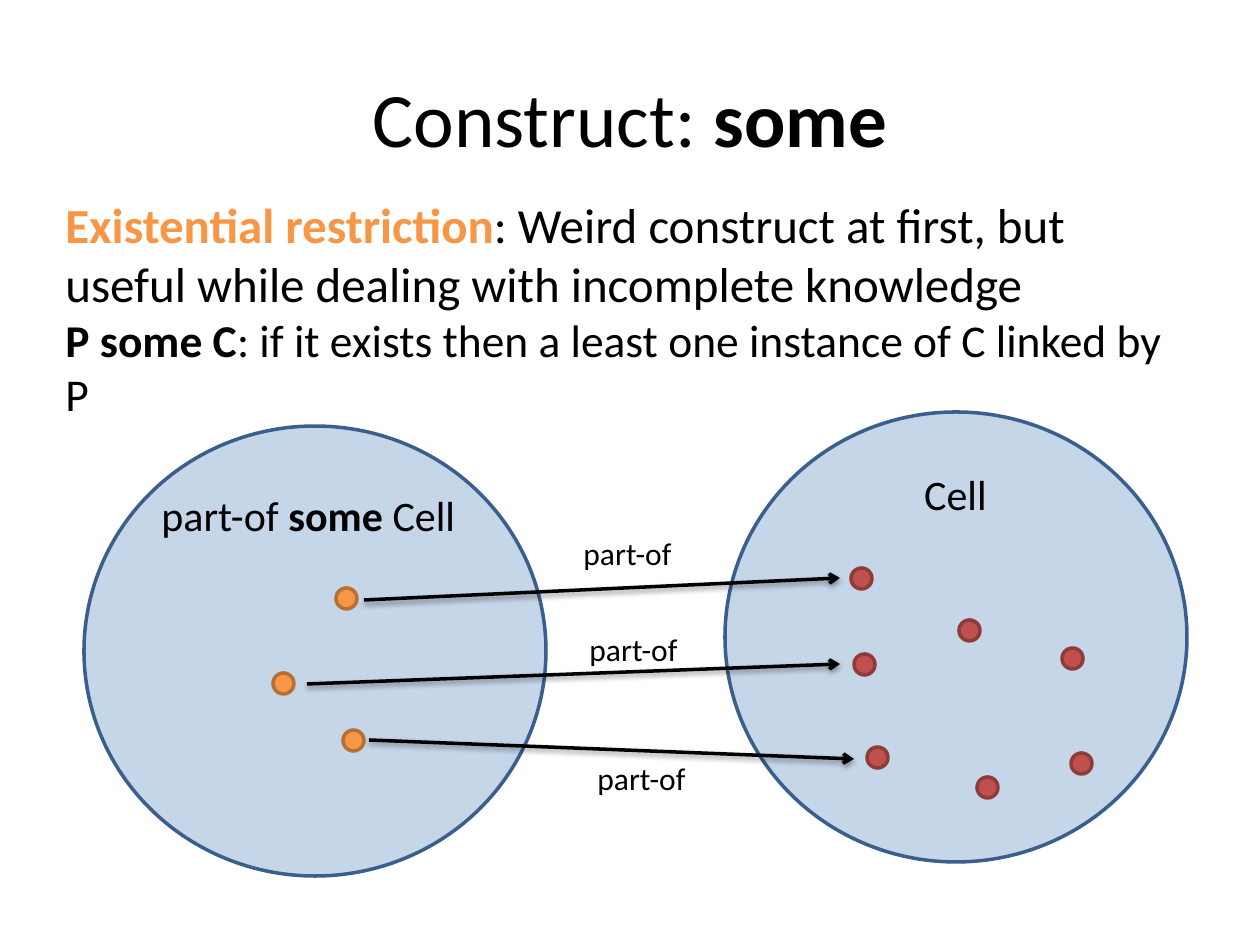
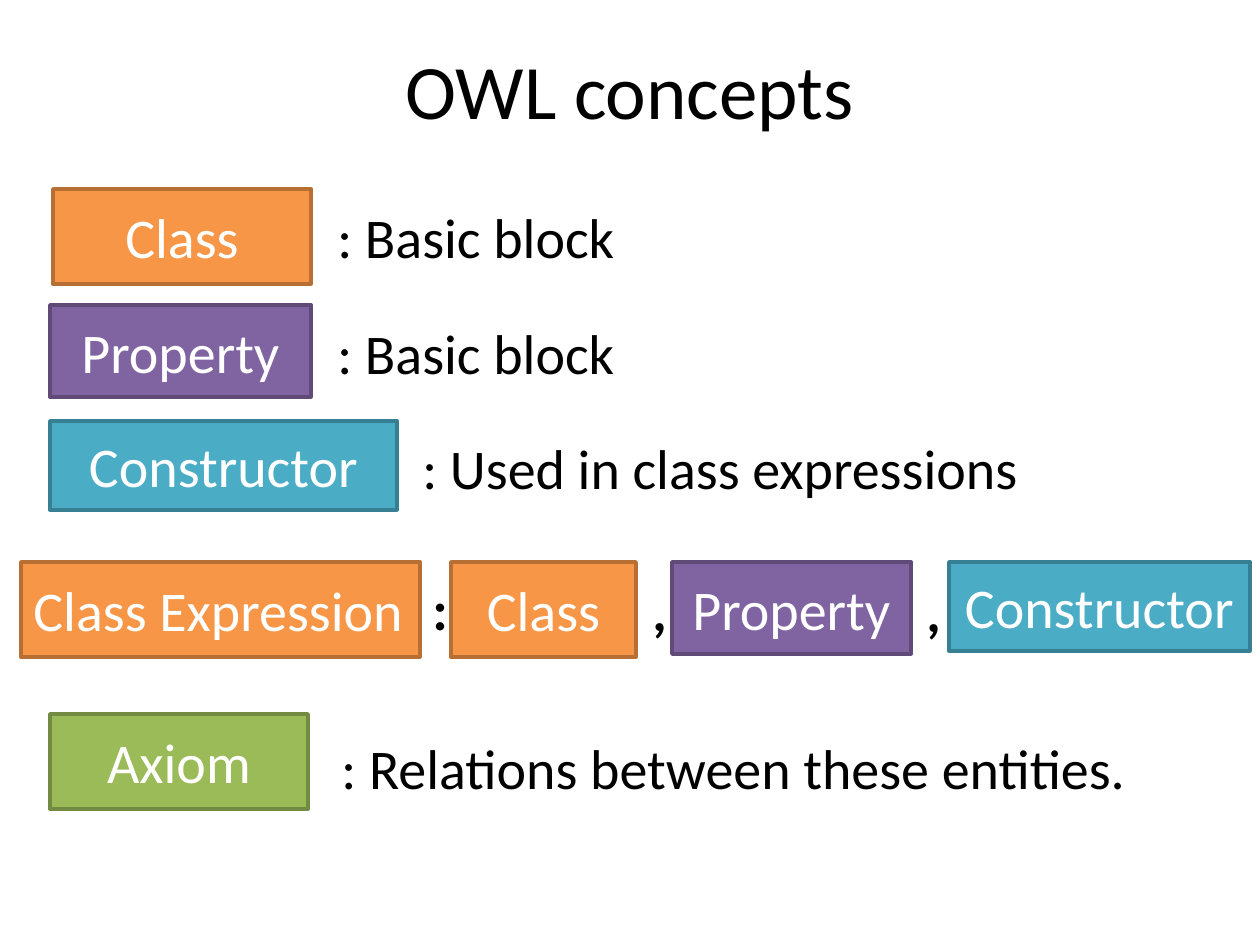
from lxml import etree
from pptx import Presentation
from pptx.dml.color import RGBColor as RGB
from pptx.enum.shapes import MSO_CONNECTOR as CONN, MSO_SHAPE as SHAPE
from pptx.enum.text import MSO_ANCHOR as ANCHOR, MSO_AUTO_SIZE as AUTO, PP_ALIGN as ALIGN
from pptx.oxml import parse_xml
from pptx.oxml.ns import nsdecls, qn
from pptx.util import Emu, Pt

FONT = "Calibri"
BLACK, WHITE = "000000", "FFFFFF"
BLUE, NAVY = "4F81BD", "3A5F8C"
ORANGE, RUST = "F79646", "B76F34"
RED, MAROON = "C0504D", "8E3B39"
DOT = 21
KINDS = {
    "Class": (ORANGE, RUST, 95),
    "Class Expression": (ORANGE, RUST, 95),
    "Property": ("8064A2", "5F4A78", 92),
    "Constructor": ("4BACC6", "377F92", 89),
    "Axiom": ("9BBB59", "738A42", 95),
}
SHADOW = (
    f'<a:effectLst {nsdecls("a")}><a:outerShdw blurRad="40000" dist="20000" '
    'dir="5400000" rotWithShape="0"><a:srgbClr val="000000">'
    '<a:alpha val="38000"/></a:srgbClr></a:outerShdw></a:effectLst>'
)


def px(*nums):
    """Turn pixels into EMU."""
    return [Emu(round(n * 914400 / 126)) for n in nums]


def tint(text):
    """Turn a hex string into a colour."""
    return RGB.from_string(text)


def write(para, parts, size, color=BLACK, bold=None, align=ALIGN.LEFT):
    """Write (text, bold, colour) parts into a paragraph; plain text is one part."""
    para.alignment = align
    font = para.font
    font.name, font.size, font.bold = FONT, Pt(size), bold
    font.color.rgb = tint(color)
    if isinstance(parts, str):
        parts = [(parts, None, None)]
    for text, heavy, hue in parts:
        run = para.add_run()
        run.text = text
        if heavy is not None:
            run.font.bold = heavy
        if hue:
            run.font.color.rgb = tint(hue)


def start(deck, top, parts):
    """Add a slide with its title."""
    slide = deck.slides.add_slide(deck.slide_layouts[5])
    title = slide.shapes.title
    title.left, title.top, title.width, title.height = px(63, top, 1134, 158)
    title.text_frame.vertical_anchor = ANCHOR.MIDDLE
    write(title.text_frame.paragraphs[0], parts, 44, align=ALIGN.CENTER)
    return slide


def shape(slide, kind, box, fill, line):
    """Add a flat shape with a two-point outline."""
    item = slide.shapes.add_shape(kind, *px(*box))
    item.shadow.inherit = False
    item.fill.solid()
    item.fill.fore_color.rgb = tint(fill)
    item.line.color.rgb = tint(line)
    item.line.width = Pt(2)
    return item


def circle(slide, left, top):
    """Add a see-through set circle."""
    item = shape(slide, SHAPE.OVAL, (left, top, 462, 450), BLUE, NAVY)
    color = item.fill._xPr.find(f'{qn("a:solidFill")}/{qn("a:srgbClr")}')
    etree.SubElement(color, qn("a:alpha")).set("val", "32000")


def dots(slide, spots, fill, line):
    """Add one dot for each member of a set."""
    for left, top in spots:
        shape(slide, SHAPE.OVAL, (left, top, DOT, DOT), fill, line)


def label(slide, box, rows, align=ALIGN.LEFT):
    """Add a text box of (parts, size) rows."""
    frame = slide.shapes.add_textbox(*px(*box)).text_frame
    frame.word_wrap = True
    frame.auto_size = AUTO.SHAPE_TO_FIT_TEXT
    for i, (parts, size) in enumerate(rows):
        para = frame.add_paragraph() if i else frame.paragraphs[0]
        write(para, parts, size, align=align)


def arrow(slide, ends):
    """Add a black arrow with a soft shadow."""
    item = slide.shapes.add_connector(CONN.STRAIGHT, *px(*ends))
    item.line.color.rgb = tint(BLACK)
    item.line.width = Pt(2)
    tail = etree.SubElement(item.line._get_or_add_ln(), qn("a:tailEnd"))
    tail.set("type", "arrow")
    item._element.spPr.append(parse_xml(SHADOW))


def block(slide, box, text, fill=WHITE, line=WHITE, **style):
    """Add a rectangle with large text."""
    frame = shape(slide, SHAPE.RECTANGLE, box, fill, line).text_frame
    frame.word_wrap = True
    frame.vertical_anchor = ANCHOR.MIDDLE
    write(frame.paragraphs[0], text, 32, **style)


def concept(slide, name, left, top, width, align=ALIGN.CENTER):
    """Add a concept block in the colours of its kind."""
    fill, line, high = KINDS[name]
    block(slide, (left, top, width, high), name, fill, line, color=WHITE, align=align)


def some(deck):
    """Build the slide on the existential restriction."""
    slide = start(deck, 38, [("Construct: ", None, None), ("some", True, None)])
    circle(slide, 725, 412)
    label(slide, (53, 188, 1155, 186), [
        ([("Existential restriction", True, ORANGE),
          (": Weird construct at first, but useful while dealing with "
           "incomplete knowledge", None, None)], 28),
        ([("P some C", True, None),
          (": if it exists then a least one instance of C linked by P",
           None, None)], 26),
    ])
    circle(slide, 84, 426)
    dots(slide, [(336, 588), (273, 673), (343, 730)], ORANGE, RUST)
    dots(slide, [(867, 747), (959, 620), (1071, 753), (851, 568),
                 (977, 777), (854, 654), (1062, 648)], RED, MAROON)
    label(slide, (840, 462, 231, 63), [("Cell", 24)], ALIGN.CENTER)
    label(slide, (149, 483, 334, 63), [
        ([("part-of ", None, None), ("some", True, None), (" Cell", None, None)], 24)])
    links = [
        ((364, 600, 840, 578), (571, 528)),
        ((307, 684, 840, 664), (577, 624)),
        ((369, 740, 854, 759), (585, 753)),
    ]
    for ends, spot in links:
        arrow(slide, ends)
        label(slide, (*spot, 120, 50), [("part-of", 18)])


def owl(deck):
    """Build the slide on the OWL concepts."""
    slide = start(deck, 10, "OWL concepts")
    for mark, left, top in [(":", 420, 566), (",", 640, 567), (",", 914, 568)]:
        block(slide, (left, top, 42, 84), mark, bold=True)
    rows = [
        ("Class", (53, 189, 258), ": Basic block", (325, 189, 882, 95)),
        ("Property", (50, 305, 261), ": Basic block", (325, 305, 882, 95)),
        ("Constructor", (50, 421, 347), ": Used in class expressions",
         (410, 420, 756, 95)),
        ("Axiom", (50, 714, 258), ": Relations between these entities.",
         (329, 725, 903, 84)),
    ]
    for name, spot, text, box in rows:
        concept(slide, name, *spot)
        block(slide, box, text)
    concept(slide, "Class Expression", 21, 562, 399, ALIGN.LEFT)
    for name, left, width in [("Class", 451, 185), ("Property", 672, 239),
                              ("Constructor", 949, 301)]:
        concept(slide, name, left, 562, width)


def main():
    """Build and save the deck."""
    deck = Presentation()
    deck.slide_width, deck.slide_height = px(1260, 945)
    some(deck)
    owl(deck)
    deck.save("out.pptx")


if __name__ == "__main__":
    main()
